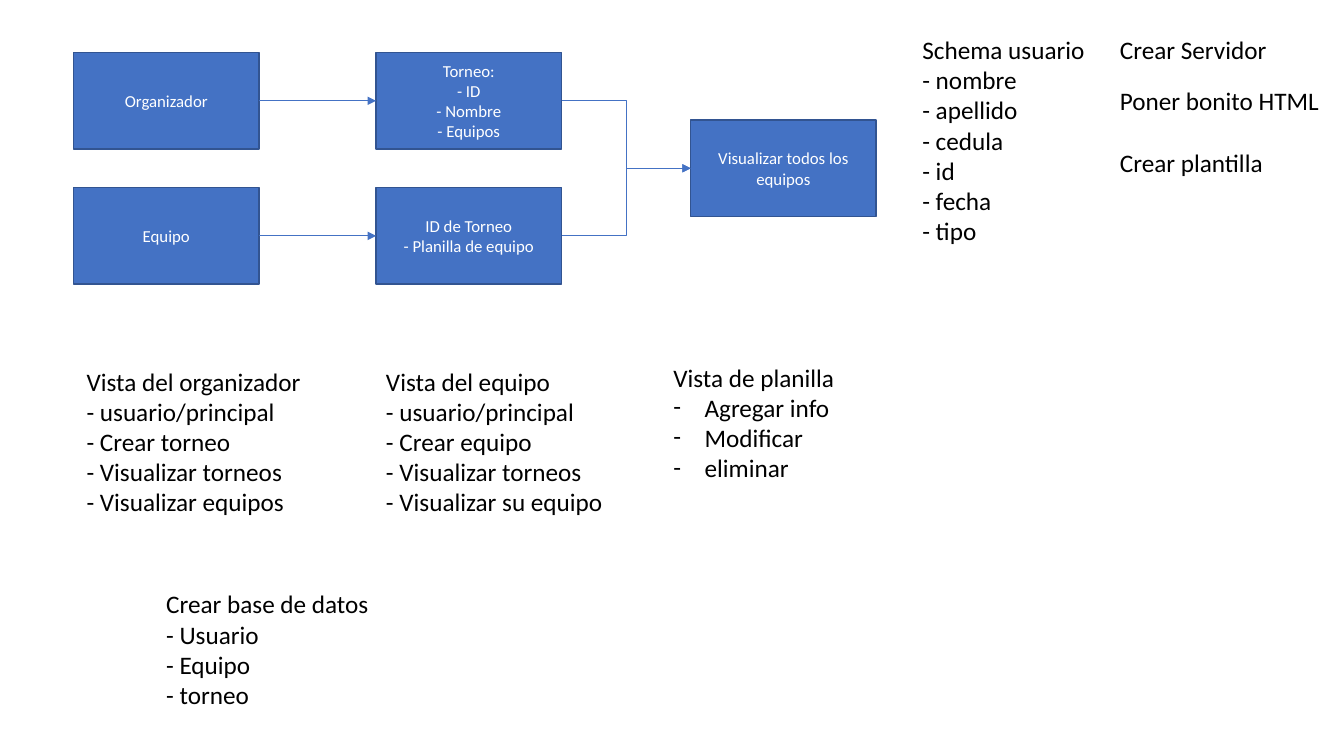
from lxml import etree
from pptx import Presentation
from pptx.dml.color import RGBColor
from pptx.enum.shapes import MSO_CONNECTOR, MSO_SHAPE
from pptx.enum.text import MSO_ANCHOR, MSO_AUTO_SIZE, PP_ALIGN
from pptx.oxml.ns import qn
from pptx.util import Inches, Pt

RECT = MSO_SHAPE.RECTANGLE
STRAIGHT, ELBOW = MSO_CONNECTOR.STRAIGHT, MSO_CONNECTOR.ELBOW
MIDDLE, CENTER = MSO_ANCHOR.MIDDLE, PP_ALIGN.CENTER
FIT_SHAPE = MSO_AUTO_SIZE.SHAPE_TO_FIT_TEXT

FONT = "Calibri"
COLORS = {"box": "4472C4", "border": "325491", "box_text": "FFFFFF", "text": "000000"}
BOX_W, BOX_H = 1.84, 0.96
RIGHT_SITE, LEFT_SITE = 3, 1

# left, top, width, height, lines
VIEWS = [
    (0.76, 3.58, 2.35, 1.62, ["Vista del organizador", "- usuario/principal", "- Crear torneo",
                              "- Visualizar torneos", "- Visualizar equipos"]),
    (3.73, 3.58, 2.38, 1.62, ["Vista del equipo", "- usuario/principal", "- Crear equipo",
                              "- Visualizar torneos", "- Visualizar su equipo"]),
]
SHEET_VIEW = (6.58, 3.54, 1.82, 1.31, ["Vista de planilla", "Agregar info", "Modificar", "eliminar"])
DATA = [
    (9.05, 0.29, 1.83, 2.22, ["Schema usuario", "- nombre", "- apellido", "- cedula",
                              "- id", "- fecha", "- tipo"]),
    (1.55, 5.79, 2.23, 1.31, ["Crear base de datos", "- Usuario", "- Equipo", "- torneo"]),
]
TASKS = [
    (11.01, 0.29, 1.67, 0.4, ["Crear Servidor"]),
    (11.01, 0.8, 2.2, 0.4, ["Poner bonito HTML"]),
    (11.01, 1.41, 1.64, 0.4, ["Crear plantilla"]),
]


def rgb(name):
    """Return the named colour."""
    return RGBColor.from_string(COLORS[name])


def write(tf, lines, size, color):
    """Fill a text frame with one paragraph per line and format its runs."""
    tf.text = "\n".join(lines)
    for p in tf.paragraphs:
        for r in p.runs:
            r.font.name, r.font.size = FONT, Pt(size)
            r.font.color.rgb = rgb(color)


def add_box(slide, left, top, lines):
    """Add one blue step of the flow."""
    sp = slide.shapes.add_shape(RECT, Inches(left), Inches(top), Inches(BOX_W), Inches(BOX_H))
    sp.shadow.inherit = False
    sp.fill.solid()
    sp.fill.fore_color.rgb = rgb("box")
    sp.line.color.rgb = rgb("border")
    sp.line.width = Pt(1)
    tf = sp.text_frame
    tf.word_wrap = True
    tf.vertical_anchor = MIDDLE
    write(tf, lines, 12, "box_text")
    for p in tf.paragraphs:
        p.alignment = CENTER
    return sp


def add_arrow(slide, kind, source, target):
    """Connect the right side of one step to the left side of the next."""
    cxn = slide.shapes.add_connector(kind, 0, 0, 0, 0)
    cxn.begin_connect(source, RIGHT_SITE)
    cxn.end_connect(target, LEFT_SITE)
    cxn.line.color.rgb = rgb("box")
    cxn.line.width = Pt(0.5)
    etree.SubElement(cxn.line._get_or_add_ln(), qn("a:tailEnd"), type="triangle")
    etree.SubElement(cxn._element.spPr, qn("a:effectLst"))


def add_flow(slide, left, top):
    """Draw two rows of steps that meet in the final step."""
    col_gap, row_gap = 3.0, 1.34
    rows = [
        (["Organizador"], ["Torneo:", "- ID", "- Nombre", "- Equipos"]),
        (["Equipo"], ["ID de Torneo", "- Planilla de equipo"]),
    ]
    final = add_box(slide, left + 6.12, top + row_gap / 2, ["Visualizar todos los equipos"])
    for i, (actor, record) in enumerate(rows):
        y = top + i * row_gap
        start = add_box(slide, left, y, actor)
        middle = add_box(slide, left + col_gap, y, record)
        add_arrow(slide, STRAIGHT, start, middle)
        add_arrow(slide, ELBOW, middle, final)


def add_note(slide, left, top, width, height, lines):
    """Add a block of plain text lines and return its text frame."""
    sp = slide.shapes.add_textbox(Inches(left), Inches(top), Inches(width), Inches(height))
    tf = sp.text_frame
    tf.word_wrap = False
    tf.auto_size = FIT_SHAPE
    write(tf, lines, 18, "text")
    return tf


def add_bulleted_note(slide, left, top, width, height, lines):
    """Add a heading line followed by dash bullets."""
    tf = add_note(slide, left, top, width, height, lines)
    indent = Inches(0.31)
    for p in tf.paragraphs[1:]:
        pPr = p._p.get_or_add_pPr()
        pPr.set("marL", str(indent))
        pPr.set("indent", str(-indent))
        etree.SubElement(pPr, qn("a:buFont"), typeface=FONT)
        etree.SubElement(pPr, qn("a:buChar"), char="-")


prs = Presentation()
prs.slide_width, prs.slide_height = Inches(13.33), Inches(7.5)
slide = prs.slides.add_slide(prs.slide_layouts[6])
add_flow(slide, 0.73, 0.52)
for note in VIEWS + DATA + TASKS:
    add_note(slide, *note)
add_bulleted_note(slide, *SHEET_VIEW)
prs.save("out.pptx")
